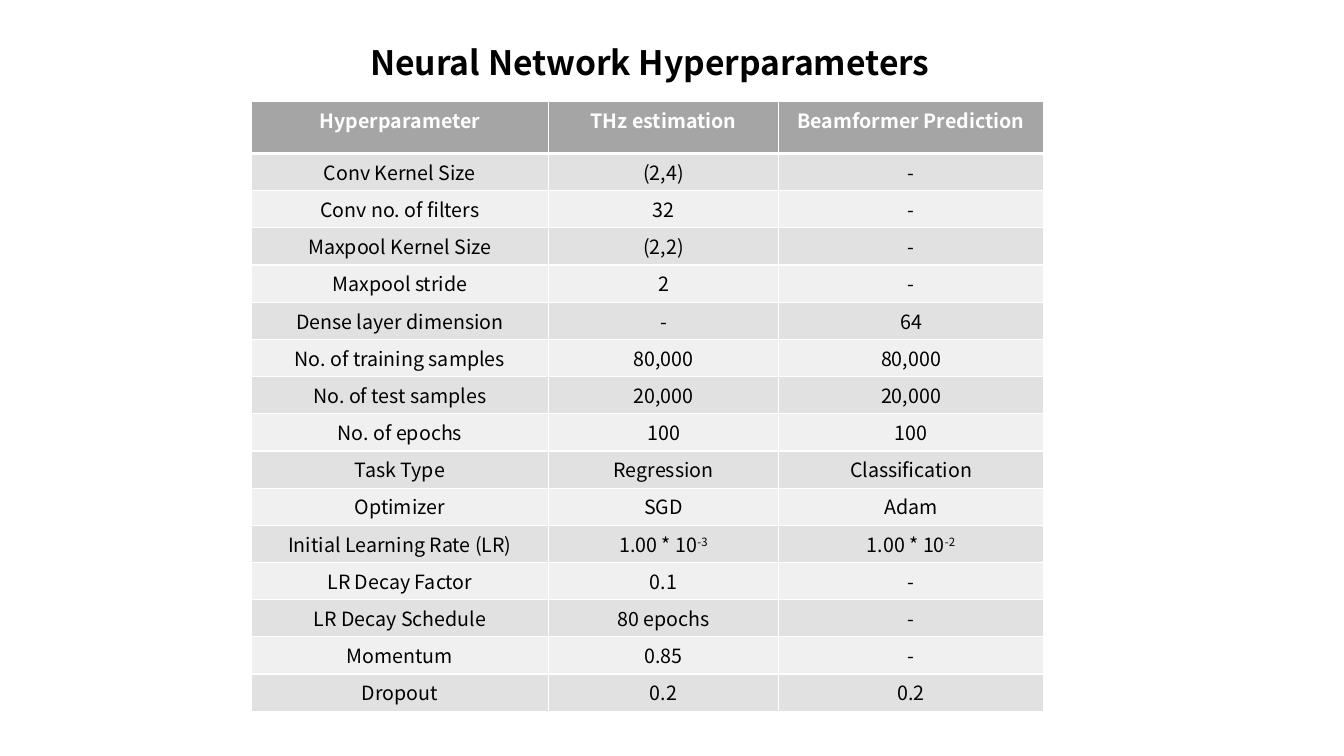
from dataclasses import dataclass

from lxml import etree
from pptx import Presentation
from pptx import util as u
from pptx.dml.color import RGBColor
from pptx.enum import text
from pptx.oxml import ns


@dataclass(frozen=True)
class Theme:
    font: str = "Noto Sans CJK KR"
    ink: str = "000000"
    paper: str = "FFFFFF"
    header: str = "A5A5A5"
    bands: tuple = ("E1E1E1", "F0F0F0")
    title_size: int = 24
    table_size: int = 14
    rule: int = 1
    header_rule: int = 3
    cell_inset: float = 0.04


class Deck:
    GRID = 100

    def __init__(self, prs, theme):
        self.prs, self.theme = prs, theme
        self.slide = prs.slides.add_slide(prs.slide_layouts[6])

    def x(self, cols):
        return round(self.prs.slide_width * cols / self.GRID)

    def y(self, rows):
        return round(self.prs.slide_height * rows / self.GRID)

    def set_text(self, tf, content, size, color, bold=False):
        base, _, exponent = content.partition("^")
        tf.text = base
        p = tf.paragraphs[0]
        p.alignment = text.PP_ALIGN.CENTER
        if exponent:
            r = p.add_run()
            r.text = exponent
            r.font._element.set("baseline", "30000")
        for r in p.runs:
            r.font.name = self.theme.font
            r.font.size = u.Pt(size)
            r.font.bold = bold
            r.font.color.rgb = RGBColor.from_string(color)

    def title(self, content, left, top, width, height):
        sp = self.slide.shapes.add_textbox(
            self.x(left), self.y(top), self.x(width), self.y(height))
        tf = sp.text_frame
        tf.word_wrap = True
        tf.margin_top = tf.margin_bottom = 0
        tf.vertical_anchor = text.MSO_ANCHOR.MIDDLE
        self.set_text(tf, content, self.theme.title_size, self.theme.ink, bold=True)

    def borders(self, cell, top, bottom):
        tcPr = cell._tc.get_or_add_tcPr()
        rule = self.theme.rule
        for side, width in zip("LRTB", (rule, rule, top, bottom)):
            ln = etree.SubElement(tcPr, ns.qn(f"a:ln{side}"), w=str(u.Pt(width)))
            fill = etree.SubElement(ln, ns.qn("a:solidFill"))
            etree.SubElement(fill, ns.qn("a:srgbClr"), val=self.theme.paper)

    def cell(self, cell, content, row):
        t = self.theme
        is_header = row == 0
        self.borders(cell, t.header_rule if row == 1 else t.rule,
                     t.header_rule if is_header else t.rule)
        cell.fill.solid()
        color = t.header if is_header else t.bands[(row - 1) % 2]
        cell.fill.fore_color.rgb = RGBColor.from_string(color)
        cell.margin_top = cell.margin_bottom = u.Inches(t.cell_inset)
        self.set_text(cell.text_frame, content, t.table_size,
                      t.paper if is_header else t.ink, bold=is_header)

    def table(self, records, left, top, widths, header_height, row_height):
        heights = [header_height] + [row_height] * (len(records) - 1)
        table = self.slide.shapes.add_table(
            len(records), len(widths), self.x(left), self.y(top),
            self.x(sum(widths)), self.y(sum(heights))).table
        for column, width in zip(table.columns, widths):
            column.width = self.x(width)
        for i, (record, height) in enumerate(zip(records, heights)):
            table.rows[i].height = self.y(height)
            for j, content in enumerate(record):
                self.cell(table.cell(i, j), content, i)


HYPERPARAMETERS = [
    ("Hyperparameter", "THz estimation", "Beamformer Prediction"),
    ("Conv Kernel Size", "(2,4)", "-"),
    ("Conv no. of filters", "32", "-"),
    ("Maxpool Kernel Size", "(2,2)", "-"),
    ("Maxpool stride", "2", "-"),
    ("Dense layer dimension", "-", "64"),
    ("No. of training samples", "80,000", "80,000"),
    ("No. of test samples", "20,000", "20,000"),
    ("No. of epochs", "100", "100"),
    ("Task Type", "Regression", "Classification"),
    ("Optimizer", "SGD", "Adam"),
    ("Initial Learning Rate (LR)", "1.00 * 10^-3", "1.00 * 10^-2"),
    ("LR Decay Factor", "0.1", "-"),
    ("LR Decay Schedule", "80 epochs", "-"),
    ("Momentum", "0.85", "-"),
    ("Dropout", "0.2", "0.2"),
]

prs = Presentation()
prs.slide_width, prs.slide_height = u.Inches(13.33), u.Inches(7.5)
deck = Deck(prs, Theme())
deck.title("Neural Network Hyperparameters", left=9.6, top=4.8, width=77.5, height=6.7)
deck.table(HYPERPARAMETERS, left=18.7, top=13.4, widths=(22.13, 17.1, 19.73),
           header_height=6.9, row_height=4.92)
prs.save("out.pptx")
